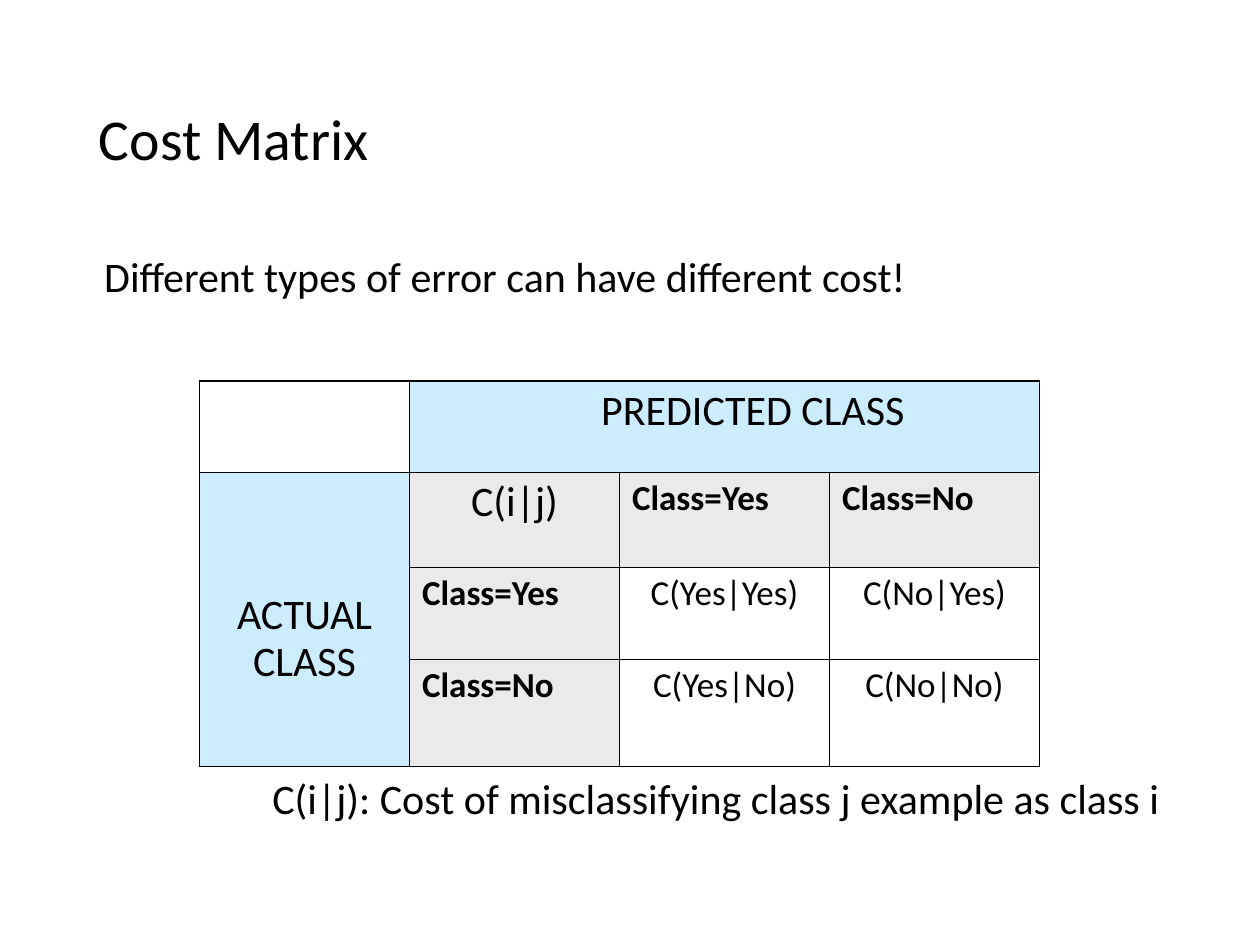
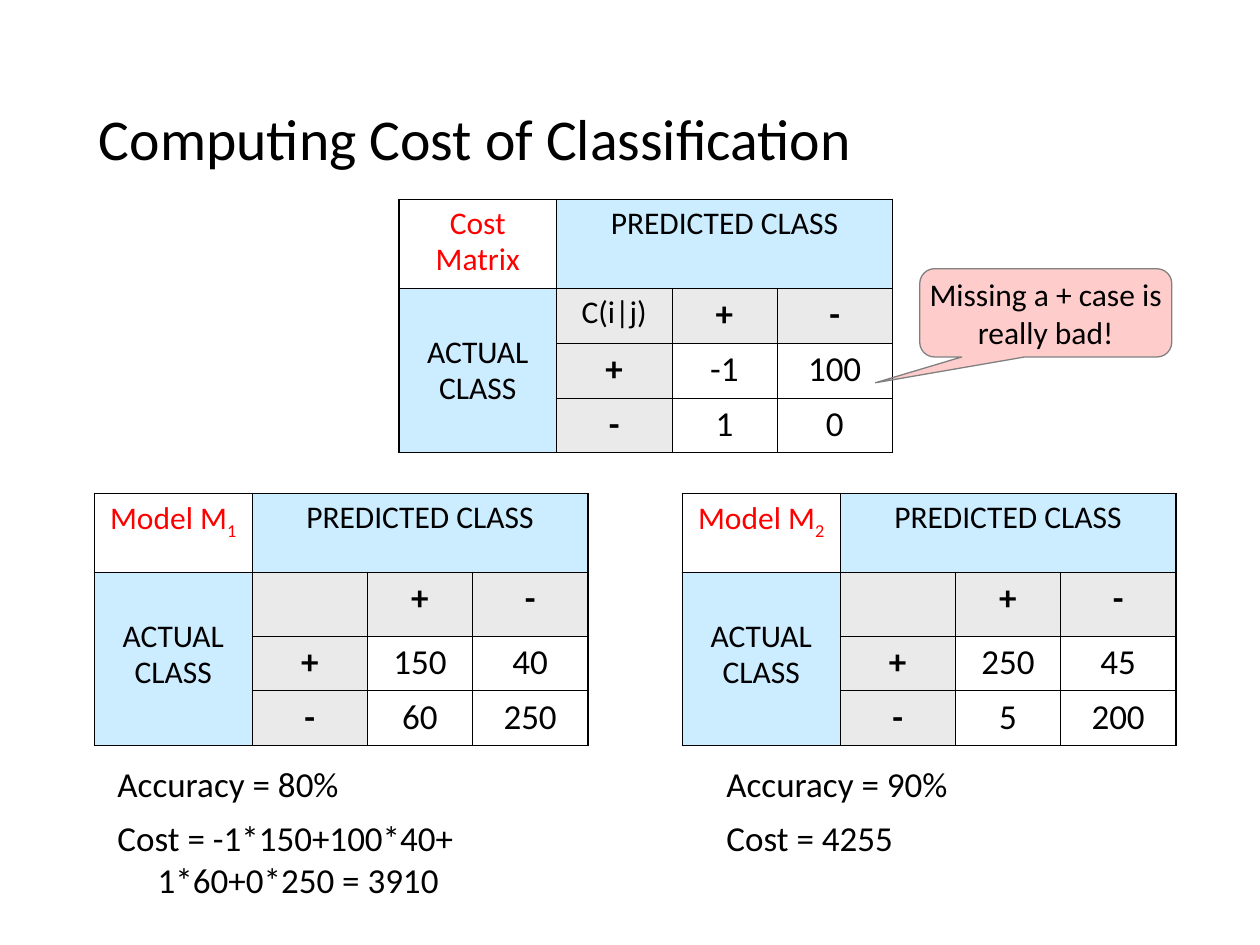
from dataclasses import dataclass

from lxml import etree
from pptx import Presentation
from pptx import util as u
from pptx.dml.color import RGBColor
from pptx.enum import shapes, text
from pptx.oxml.ns import qn

GRID_COLUMNS, GRID_ROWS = 120, 90
SLIDE_WIDTH, SLIDE_HEIGHT = u.Inches(10), u.Inches(7.5)
FONT = "Calibri"
COLORS = {
    "text": "000000",
    "accent": "FF0000",
    "class": "CCECFF",
    "header": "EAEAEA",
    "callout_line": "808080",
}
NO_STYLE = "{2D5ABB26-0587-4C30-8999-92F81FD0307C}"
INNER_LINE, OUTER_LINE = 0.45, 1.08
CENTER, LEFT = text.PP_ALIGN.CENTER, text.PP_ALIGN.LEFT


@dataclass(frozen=True)
class Box:
    left: float
    top: float
    width: float
    height: float

    def lengths(self) -> tuple[int, int, int, int]:
        return columns(self.left), rows(self.top), columns(self.width), rows(self.height)


@dataclass(frozen=True)
class Note:
    box: Box
    lines: tuple[str, ...]
    size: float


@dataclass(frozen=True)
class Matrix:
    left: float
    top: float
    column_widths: tuple[float, ...]
    row_heights: tuple[float, ...]
    labels: tuple[str, str]
    values: tuple[tuple[str, str], tuple[str, str]]
    corner: str = ""
    subscript: str = ""
    measure: str = ""
    title_size: float = 18
    label_align: text.PP_ALIGN = CENTER
    predicted_indent: float = 0
    actual_drop: float = 3.84


def columns(count: float) -> int:
    return round(SLIDE_WIDTH * count / GRID_COLUMNS)


def rows(count: float) -> int:
    return round(SLIDE_HEIGHT * count / GRID_ROWS)


def color(name: str) -> RGBColor:
    return RGBColor.from_string(COLORS[name])


def style_runs(paragraph, size: float, name: str = "text", bold: bool = False) -> None:
    for run in paragraph.runs:
        run.font.name = FONT
        run.font.size = u.Pt(size)
        run.font.bold = bold
        run.font.color.rgb = color(name)


def add_title(slide, title: str) -> None:
    frame = slide.shapes.add_textbox(*Box(8.25, 4.8, 103.5, 17.4).lengths()).text_frame
    frame.word_wrap = True
    frame.vertical_anchor = text.MSO_ANCHOR.MIDDLE
    frame.text = title
    frame.paragraphs[0].line_spacing = 0.9
    style_runs(frame.paragraphs[0], 33)


def add_note(slide, note: Note) -> None:
    frame = slide.shapes.add_textbox(*note.box.lengths()).text_frame
    frame.word_wrap = True
    frame.text = "\n".join(note.lines)
    for index, paragraph in enumerate(frame.paragraphs):
        properties = paragraph._p.get_or_add_pPr()
        properties.set("marL", str(u.Inches(0.32)))
        properties.set("indent", str(-u.Inches(0.32)))
        if index:
            paragraph.space_before = u.Pt(3)
        paragraph.space_after = u.Pt(4)
        style_runs(paragraph, note.size)


def add_borders(cell, row: int, column: int, last: int) -> None:
    outer = {
        "L": column == 0,
        "R": column + cell.span_width - 1 == last,
        "T": row == 0,
        "B": row + cell.span_height - 1 == last,
    }
    if cell.is_spanned:
        outer.update(R=column == last, B=row == last)
    properties = cell._tc.get_or_add_tcPr()
    for side, is_outer in outer.items():
        if cell.is_spanned and not is_outer:
            continue
        width = OUTER_LINE if is_outer else INNER_LINE
        line = etree.SubElement(properties, qn(f"a:ln{side}"), w=str(u.Pt(width)))
        fill = etree.SubElement(line, qn("a:solidFill"))
        etree.SubElement(fill, qn("a:srgbClr"), val=COLORS["text"])


def write_cell(cell, words: str, size: float, fill: str = "", name: str = "text",
               bold: bool = False, align: text.PP_ALIGN = CENTER) -> None:
    if fill:
        cell.fill.solid()
        cell.fill.fore_color.rgb = color(fill)
    else:
        cell.fill.background()
    if words:
        paragraph = cell.text_frame.paragraphs[0]
        paragraph.text = words
        paragraph.alignment = align
        paragraph.line_spacing = 0.93
        style_runs(paragraph, size, name, bold)


def add_matrix(slide, matrix: Matrix) -> None:
    box = Box(matrix.left, matrix.top, sum(matrix.column_widths), sum(matrix.row_heights))
    frame = slide.shapes.add_table(4, 4, *box.lengths())
    table = frame.table
    table.first_row = table.horz_banding = False
    table._tbl.tblPr.find(qn("a:tableStyleId")).text = NO_STYLE
    for column, width in zip(table.columns, matrix.column_widths):
        column.width = columns(width)
    for row, height in zip(table.rows, matrix.row_heights):
        row.height = rows(height)
    corner, predicted, actual = table.cell(0, 0), table.cell(0, 1), table.cell(1, 0)
    predicted.merge(table.cell(0, 3))
    actual.merge(table.cell(3, 0))
    for row in range(4):
        for column in range(4):
            add_borders(table.cell(row, column), row, column, 3)

    write_cell(corner, matrix.corner, matrix.title_size, name="accent")
    if matrix.subscript:
        paragraph = corner.text_frame.paragraphs[0]
        run = paragraph.add_run()
        run.text = matrix.subscript
        style_runs(paragraph, matrix.title_size, "accent")
        run._r.get_or_add_rPr().set("baseline", "-25000")
    write_cell(predicted, "PREDICTED CLASS", matrix.title_size, "class")
    predicted.margin_left = columns(1.2 + matrix.predicted_indent)
    write_cell(actual, "ACTUAL\vCLASS", matrix.title_size, "class")
    actual.margin_top = rows(0.6 + matrix.actual_drop)
    write_cell(table.cell(1, 1), matrix.measure, matrix.title_size, "header")
    for index, label in enumerate(matrix.labels):
        for cell in (table.cell(1, index + 2), table.cell(index + 2, 1)):
            write_cell(cell, label, 20, "header", bold=True, align=matrix.label_align)
        for column, value in enumerate(matrix.values[index]):
            write_cell(table.cell(index + 2, column + 2), value, 20)


def add_callout(slide, box: Box, words: str) -> None:
    shape = slide.shapes.add_shape(
        shapes.MSO_SHAPE.ROUNDED_RECTANGULAR_CALLOUT, *box.lengths())
    for index, value in enumerate((-0.676, 0.793, 0.167)):
        shape.adjustments[index] = value
    shape.shadow.inherit = False
    shape.fill.solid()
    shape.fill.fore_color.rgb = color("accent")
    tint = shape._element.spPr.find(qn("a:solidFill")).find(qn("a:srgbClr"))
    etree.SubElement(tint, qn("a:alpha"), val="20000")
    shape.line.color.rgb = color("callout_line")
    shape.line.width = u.Pt(0.75)
    frame = shape.text_frame
    frame.word_wrap = False
    frame.vertical_anchor = text.MSO_ANCHOR.MIDDLE
    frame.text = words
    paragraph = frame.paragraphs[0]
    paragraph.alignment = CENTER
    style_runs(paragraph, 18)


COST_DEFINITION = Matrix(
    19, 36.3, (20,) * 4, (8.7, 9, 8.8, 10.2), ("Class=Yes", "Class=No"),
    (("C(Yes|Yes)", "C(No|Yes)"), ("C(Yes|No)", "C(No|No)")),
    measure="C(i|j)", title_size=24, label_align=LEFT,
    predicted_indent=5.4, actual_drop=10.7)
DEFINITION_NOTES = (
    Note(Box(24.75, 73, 87, 12), ("C(i|j): Cost of misclassifying class j example as class i",), 24),
    Note(Box(8.75, 23.25, 103, 12), ("Different types of error can have different cost!",), 24),
)
SIGNS = ("+", "-")
SIGN_COLUMNS = (15, 11, 10, 11)
MODEL_ROWS = (7.5, 6.1, 5.2, 5.2)
COST_MATRICES = (
    Matrix(38, 19, SIGN_COLUMNS, (8.5, 5.2, 5.2, 5.2), SIGNS,
           (("-1", "100"), ("1", "0")), corner="Cost Matrix", measure="C(i|j)"),
    Matrix(9, 47, SIGN_COLUMNS, MODEL_ROWS, SIGNS,
           (("150", "40"), ("60", "250")), corner="Model M", subscript="1"),
    Matrix(65, 47, SIGN_COLUMNS, MODEL_ROWS, SIGNS,
           (("250", "45"), ("5", "200")), corner="Model M", subscript="2"),
)
MODEL_NOTES = (
    Note(Box(10, 72, 40, 13), ("Accuracy = 80%", "Cost = -1*150+100*40+ 1*60+0*250 = 3910"), 20),
    Note(Box(68, 72, 40, 13), ("Accuracy = 90%", "Cost = 4255"), 20),
)


def add_matrix_slide(presentation, title: str, matrices: tuple[Matrix, ...],
                     notes: tuple[Note, ...]):
    slide = presentation.slides.add_slide(presentation.slide_layouts[6])
    add_title(slide, title)
    for matrix in matrices:
        add_matrix(slide, matrix)
    for note in notes:
        add_note(slide, note)
    return slide


def main() -> None:
    presentation = Presentation()
    presentation.slide_width, presentation.slide_height = SLIDE_WIDTH, SLIDE_HEIGHT
    add_matrix_slide(presentation, "Cost Matrix", (COST_DEFINITION,), DEFINITION_NOTES)
    slide = add_matrix_slide(
        presentation, "Computing Cost of Classification", COST_MATRICES, MODEL_NOTES)
    add_callout(slide, Box(87.6, 25.6, 24, 8.4), "Missing a + case is\vreally bad!")
    presentation.save("out.pptx")


if __name__ == "__main__":
    main()
